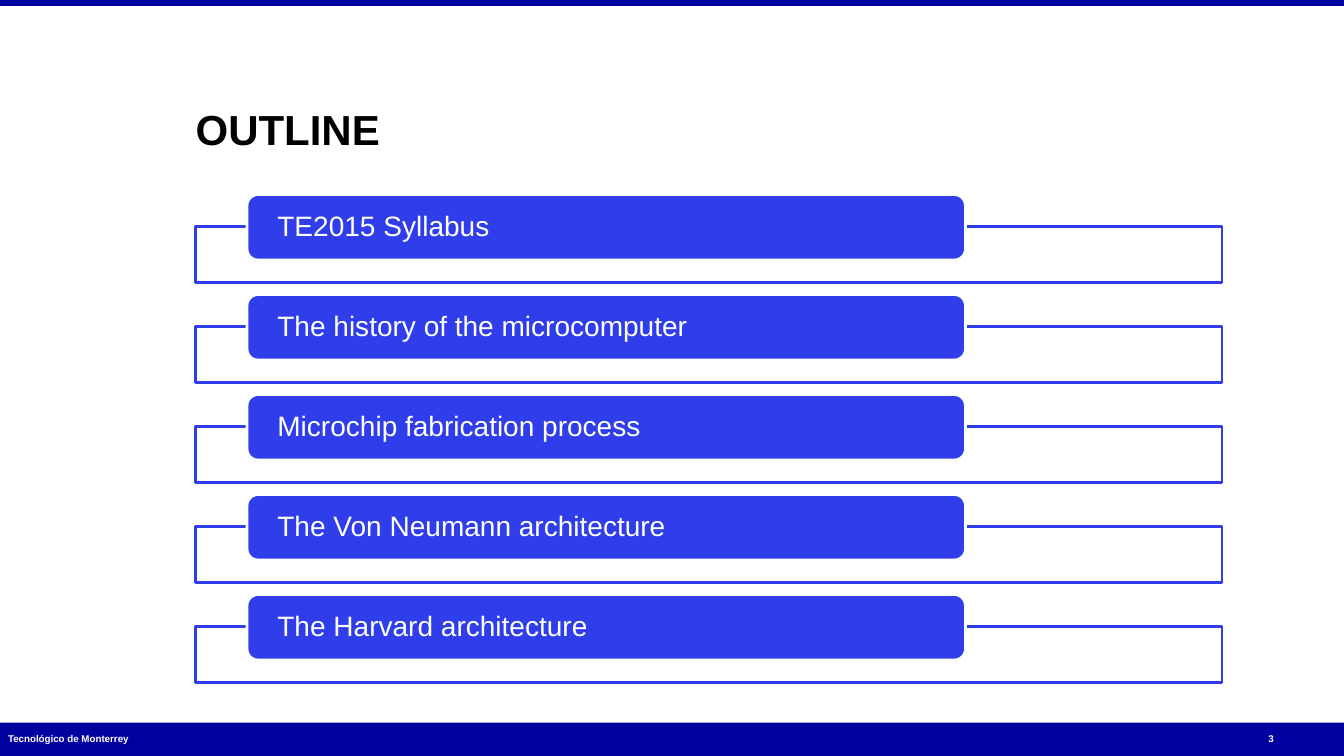
from pptx import Presentation
from pptx.dml.color import RGBColor
from pptx.enum.shapes import MSO_SHAPE
from pptx.enum.text import MSO_ANCHOR, PP_ALIGN
from pptx.oxml.ns import qn
from pptx.util import Pt
from lxml.etree import SubElement

PX = 9144
WIDTH, HEIGHT = 1333, 750
NAVY, BLUE, WHITE, BLACK = "0000A0", "2F3EEA", "FFFFFF", "000000"
TOPICS = [
    "TE2015 Syllabus",
    "The history of the microcomputer",
    "Microchip fabrication process",
    "The Von Neumann architecture",
    "The Harvard architecture",
]


def color(code):
    """Turn a hex string into a colour."""
    return RGBColor.from_string(code)


def scale(*box):
    """Turn px lengths into EMU."""
    return [round(side * PX) for side in box]


def block(slide, kind, box, fill, line=None):
    """Draw a filled shape, outlined if a line colour is given."""
    shape = slide.shapes.add_shape(kind, *scale(*box))
    shape.shadow.inherit = False
    shape.fill.solid()
    shape.fill.fore_color.rgb = color(fill)
    if line:
        shape.line.color.rgb = color(line)
        shape.line.width = Pt(2)
    else:
        shape.line.fill.background()
    return shape


def write(shape, text, size, ink, bold=False, anchor=MSO_ANCHOR.MIDDLE, inset=0):
    """Set one left-aligned paragraph in a shape."""
    frame = shape.text_frame
    frame.word_wrap = True
    frame.vertical_anchor = anchor
    frame.margin_left = frame.margin_right = inset * PX
    frame.margin_top = frame.margin_bottom = 0
    para = frame.paragraphs[0]
    para.text = text
    para.alignment = PP_ALIGN.LEFT
    font = para.font
    font.name, font.size, font.bold = "Arial", Pt(size), bold
    font.color.rgb = color(ink)
    return para


def label(slide, box, *args, **style):
    """Place a text box."""
    write(slide.shapes.add_textbox(*scale(*box)), *args, **style)


def footer(slide, left, top, width, height):
    """Draw the bottom band with the school and page number."""
    block(slide, MSO_SHAPE.RECTANGLE, (left, top + 2, width, height), NAVY)
    label(slide, (left + 8, top, 372, height), "Tecnológico de Monterrey", 7, WHITE, bold=True)
    label(slide, (left + width - 75, top, 47, height), "3", 7, WHITE, bold=True)


def topic(slide, text, left, top, width):
    """Draw one topic pill over its open frame."""
    frame = block(slide, MSO_SHAPE.RECTANGLE, (left, top + 32, width, 55), WHITE, BLUE)
    tint = frame.fill._xPr.find(qn("a:solidFill"))[0]
    SubElement(tint, qn("a:alpha")).set("val", "90000")
    pill = block(slide, MSO_SHAPE.ROUNDED_RECTANGLE,
                 (left + 51, top, width * 0.7, 65), BLUE, WHITE)
    write(pill, text, 20, WHITE, inset=27).line_spacing = 0.9


def outline(slide, left, top, width, height):
    """Stack the topics evenly in the box."""
    pitch = height / len(TOPICS)
    for row, text in enumerate(TOPICS):
        topic(slide, text, left, top + row * pitch, width)


def main():
    """Build and save the slide."""
    deck = Presentation()
    deck.slide_width, deck.slide_height = scale(WIDTH, HEIGHT)
    slide = deck.slides.add_slide(deck.slide_layouts[6])
    footer(slide, 0, 715, WIDTH, 35)
    block(slide, MSO_SHAPE.RECTANGLE, (0, 0, WIDTH, 6), NAVY)
    label(slide, (194, 47, 1018, 106), "OUTLINE", 30, BLACK,
          bold=True, anchor=MSO_ANCHOR.BOTTOM)
    outline(slide, 194, 193, 1018, 496)
    deck.save("out.pptx")


if __name__ == "__main__":
    main()
